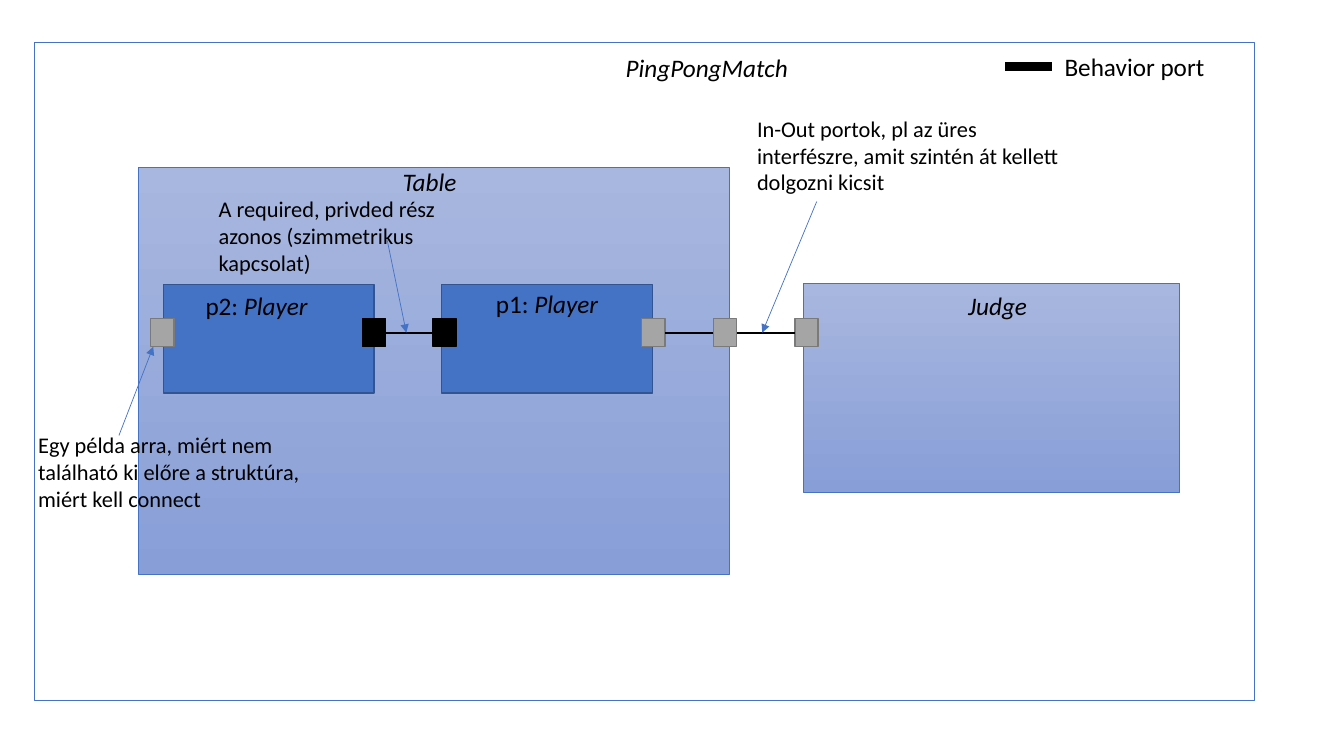
from lxml import etree
from pptx import Presentation
from pptx.dml.color import RGBColor
from pptx.enum.shapes import MSO_CONNECTOR as CONN, MSO_SHAPE as SHAPE
from pptx.enum.text import PP_ALIGN as ALIGN
from pptx.oxml.ns import qn
from pptx.util import Inches, Pt

COLORS = {
    "white": "FFFFFF", "black": "000000", "blue": "4472C4", "navy": "325491",
    "gray": "A5A5A5", "dark_gray": "7A7A7A", "top": "A8B7DF", "bottom": "889ED7",
}
FONT = "Calibri"
PORT_W, PORT_H = 0.23, 0.28
PORT_Y = 3.3
LABEL_H, NOTE_H = 0.4, 0.91
PLAYER_W, PLAYER_H = 2.09, 1.08
TOP, LEFT, BOTTOM, RIGHT = range(4)


def color(name):
    return RGBColor.from_string(COLORS[name])


def add_box(slide, box, fill, line, width=1):
    """Draw a rectangle; a pair of colour names as fill makes a vertical gradient."""
    sp = slide.shapes.add_shape(SHAPE.RECTANGLE, *map(Inches, box))
    sp.shadow.inherit = False
    if isinstance(fill, tuple):
        sp.fill.gradient()
        sp.fill.gradient_angle = 270
        for stop, name in zip(sp.fill.gradient_stops, fill):
            stop.color.rgb = color(name)
    else:
        sp.fill.solid()
        sp.fill.fore_color.rgb = color(fill)
    sp.line.color.rgb = color(line)
    sp.line.width = Pt(width)
    return sp


def add_text(slide, box, runs, size=18, align=ALIGN.LEFT):
    """Write runs given as (text, italic) pairs."""
    tf = slide.shapes.add_textbox(*map(Inches, box)).text_frame
    tf.word_wrap = True
    p = tf.paragraphs[0]
    p.alignment = align
    p.font.name, p.font.size = FONT, Pt(size)
    p.font.color.rgb = color("black")
    for text, italic in runs:
        r = p.add_run()
        r.text = text
        r.font.italic = italic
    return tf


def add_line(slide, start, end, name, width, arrow=False):
    points = map(Inches, (*start, *end))
    line = slide.shapes.add_connector(CONN.STRAIGHT, *points)
    line.line.color.rgb = color(name)
    line.line.width = Pt(width)
    if arrow:
        ln = line.line._get_or_add_ln()
        etree.SubElement(ln, qn("a:tailEnd"), type="triangle")
    etree.SubElement(line._element.spPr, qn("a:effectLst"))
    return line


def add_title(slide, box, text):
    add_text(slide, box, [(text, True)], align=ALIGN.CENTER)


def add_block(slide, box, title, title_dx, title_dy, title_w):
    x, y, _, _ = box
    add_box(slide, box, ("top", "bottom"), "blue", 0.5)
    add_title(slide, (x + title_dx, y + title_dy, title_w, LABEL_H), title)


def add_player(slide, box, name, label_dx, label_dy):
    x, y, _, _ = box
    add_box(slide, box, "blue", "navy")
    add_text(slide, (x + label_dx, y + label_dy, 1.43, LABEL_H),
             [(f"{name}: ", False), ("Player", True)])


def add_port(slide, center_x, behavior=False):
    fill, line = ("black", "black") if behavior else ("gray", "dark_gray")
    box = (center_x - PORT_W / 2, PORT_Y - PORT_H / 2, PORT_W, PORT_H)
    return add_box(slide, box, fill, line)


def link_ports(slide, right_port, left_port):
    line = add_line(slide, (0, 0), (0, 0), "black", 1.5)
    line.begin_connect(right_port, LEFT)
    line.end_connect(left_port, RIGHT)


def add_legend(slide, box):
    x, y, w, h = box
    bar_y = y + h / 2
    add_line(slide, (x + 0.46, bar_y), (x, bar_y), "black", 6)
    add_text(slide, (x + 0.49, y, w - 0.49, h), [("Behavior port", False)])


def add_note(slide, box, text, start, end):
    add_line(slide, start, end, "blue", 0.5, arrow=True)
    add_text(slide, box, [(text, False)], size=16)


def add_match(slide, box):
    x, y, _, _ = box
    add_box(slide, box, "white", "blue")
    add_title(slide, (x + 5.53, y + 0.05, 2.28, LABEL_H), "PingPongMatch")
    add_legend(slide, (x + 9.63, y + 0.04, 2.28, LABEL_H))
    add_block(slide, (x + 1.03, y + 1.24, 5.86, 4.04), "Table", 1.79, -0.06, 2.2)
    add_block(slide, (x + 7.63, y + 2.39, 3.73, 2.08), "Judge", 1.04, 0.02, 1.77)
    for name, dx, label_dx, label_dy in (("p2", 1.28, 0.32, 0.01),
                                         ("p1", 4.04, 0.44, -0.01)):
        add_player(slide, (x + dx, y + 2.4, PLAYER_W, PLAYER_H),
                   name, label_dx, label_dy)


def add_ports():
    add_port(slide, 1.61)
    p2_port, p1_port = (add_port(slide, x, behavior=True) for x in (3.71, 4.41))
    p1_out, table_port, judge_port = (add_port(slide, x) for x in (6.48, 7.19, 8))
    for right_port, left_port in ((p1_port, p2_port), (table_port, p1_out),
                                  (judge_port, table_port)):
        link_ports(slide, right_port, left_port)


def add_notes():
    add_note(slide, (2.07, 1.89, 2.59, NOTE_H),
             "A required, privded rész azonos (szimmetrikus kapcsolat)",
             (3.84, 2.38), (4.03, PORT_Y))
    add_note(slide, (0.28, 4.23, 3.22, NOTE_H),
             "Egy példa arra, miért nem található ki előre a struktúra, "
             "miért kell connect",
             (1.18, 4.32), (1.52, PORT_Y + PORT_H / 2))
    add_note(slide, (7.41, 1.09, 3.41, NOTE_H),
             "In-Out portok, pl az üres interfészre, amit szintén át kellett "
             "dolgozni kicsit",
             (8.1, 2), (7.56, PORT_Y))


if __name__ == "__main__":
    prs = Presentation()
    prs.slide_width, prs.slide_height = Inches(13.33), Inches(7.5)
    slide = prs.slides.add_slide(prs.slide_layouts[6])
    add_match(slide, (0.34, 0.42, 12.1, 6.53))
    add_ports()
    add_notes()
    prs.save("out.pptx")
